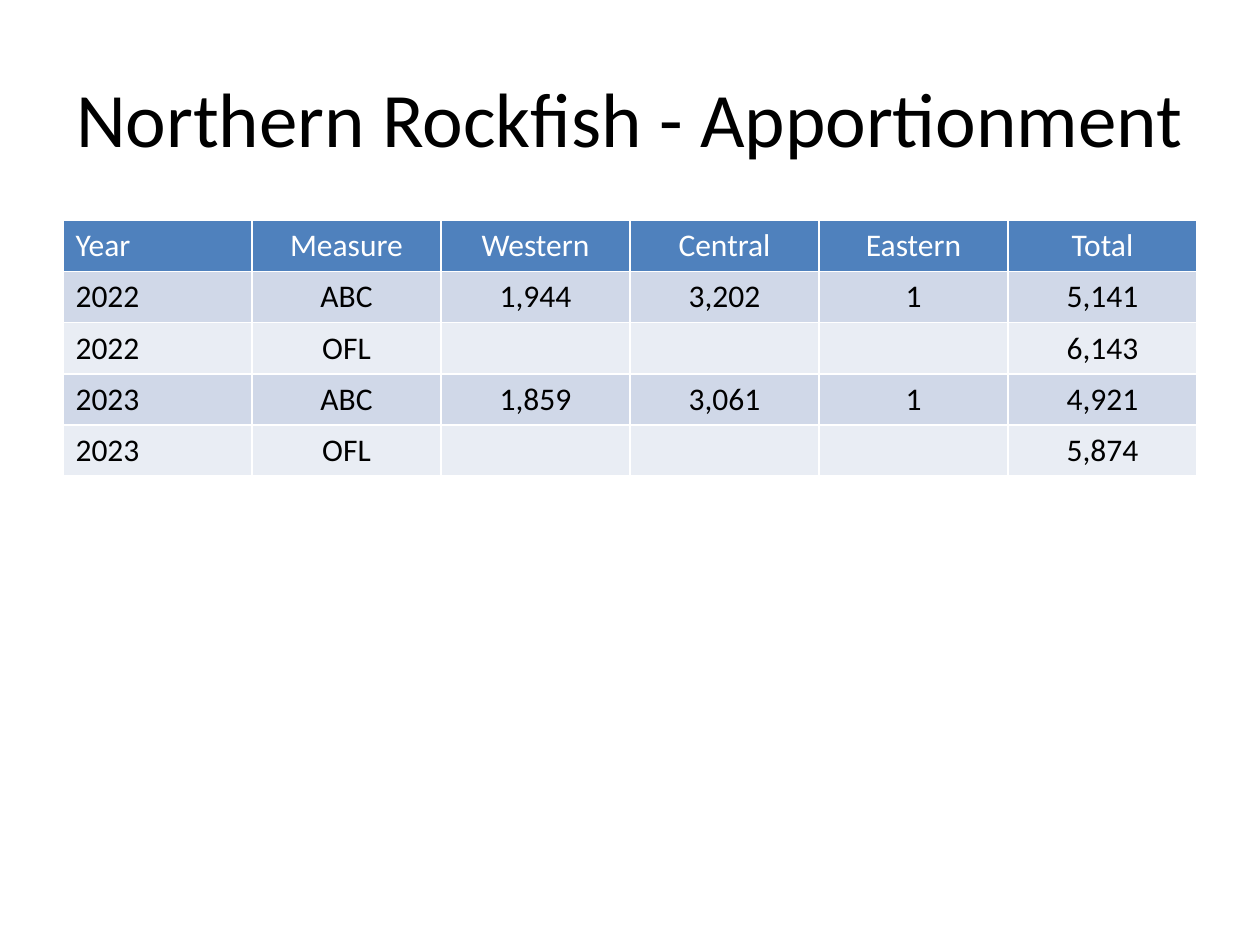
"""Build the Northern Rockfish apportionment slide."""
from dataclasses import dataclass

from pptx import Presentation
from pptx.dml.color import RGBColor as RGB
from pptx.enum.text import MSO_ANCHOR as Anchor, PP_ALIGN as Align
from pptx.util import Inches, Pt


@dataclass(frozen=True)
class Theme:
    font: str = "Calibri"
    title_size: Pt = Pt(44)
    cell_size: Pt = Pt(18)
    text: RGB = RGB.from_string("000000")
    header_text: RGB = RGB.from_string("FFFFFF")
    header_fill: RGB = RGB.from_string("4F81BD")
    bands: tuple = (RGB.from_string("D0D8E8"), RGB.from_string("E9EDF4"))


def style(p, size, color, align):
    p.alignment = align
    p.font.name = theme.font
    p.font.size = size
    p.font.bold = False
    p.font.color.rgb = color


theme = Theme()
rows = [
    ["Year", "Measure", "Western", "Central", "Eastern", "Total"],
    ["2022", "ABC", "1,944", "3,202", "1", "5,141"],
    ["2022", "OFL", "", "", "", "6,143"],
    ["2023", "ABC", "1,859", "3,061", "1", "4,921"],
    ["2023", "OFL", "", "", "", "5,874"],
]

prs = Presentation()
prs.slide_width, prs.slide_height = Inches(10), Inches(7.5)
s = prs.slides.add_slide(prs.slide_layouts[5])

title = s.shapes.title
title.left, title.top = Inches(0.5), Inches(0.3)
title.width, title.height = Inches(9), Inches(1.25)
tf = title.text_frame
tf.text = "Northern Rockfish - Apportionment"
tf.vertical_anchor = Anchor.MIDDLE
style(tf.paragraphs[0], theme.title_size, theme.text, Align.CENTER)

table = s.shapes.add_table(
    len(rows), len(rows[0]), Inches(0.5), Inches(1.75), Inches(9), Inches(0.4) * len(rows)
).table
for i, row in enumerate(rows):
    fill = theme.bands[(i - 1) % 2] if i else theme.header_fill
    color = theme.text if i else theme.header_text
    for j, value in enumerate(row):
        cell = table.cell(i, j)
        cell.text = value
        cell.fill.solid()
        cell.fill.fore_color.rgb = fill
        align = Align.CENTER if j else Align.LEFT
        style(cell.text_frame.paragraphs[0], theme.cell_size, color, align)

prs.save("out.pptx")
